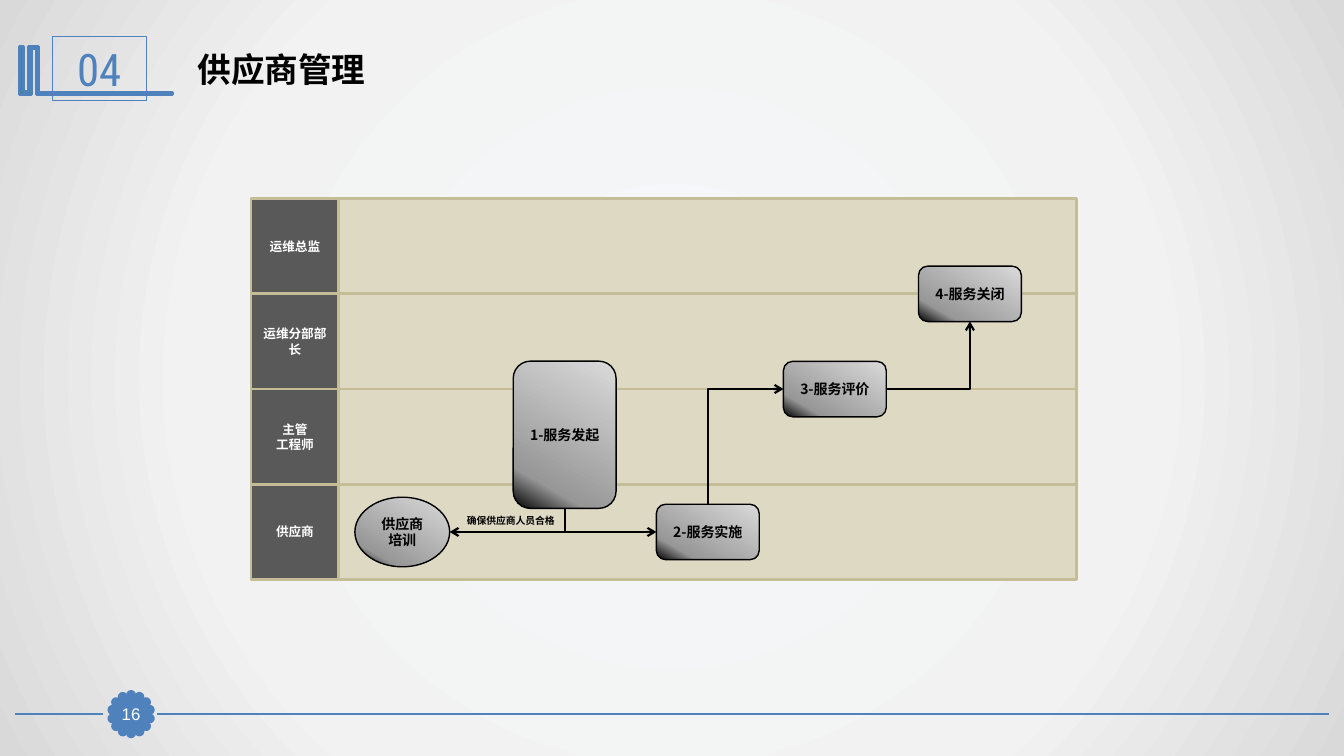
import math

from lxml import etree
from pptx import Presentation
from pptx import util as u
from pptx.dml.color import RGBColor
from pptx.enum import shapes, text
from pptx.oxml import parse_xml
from pptx.oxml.ns import nsdecls, qn

BLUE = RGBColor(0x4F, 0x81, 0xBD)
GREEN = RGBColor(0x33, 0x99, 0x33)
WHITE = RGBColor(0xFF, 0xFF, 0xFF)
BLACK = RGBColor(0, 0, 0)
SAND = RGBColor(0xDD, 0xD9, 0xC3)
SAND_EDGE = RGBColor(0xC4, 0xBD, 0x97)
GREY = RGBColor(0x59, 0x59, 0x59)

CJK = "Noto Sans CJK SC"
W, H = 13.33, 7.5
SHAPE = shapes.MSO_SHAPE

BACKDROP = [(0, "F6F9FC"), (63, "F2F2F2"), (100, "D9D9D9")]
STEEL = [(0, "DADADA"), (80, "979797"), (100, "000000")]
RADIAL = ('<a:path path="circle"><a:fillToRect l="50000" t="50000" '
          'r="50000" b="50000"/></a:path>')
SLANTED = '<a:lin ang="7200000" scaled="0"/>'


def set_gradient(fill, props, stops, shade):
    fill.solid()
    stops_xml = "".join(
        f'<a:gs pos="{pos * 1000}"><a:srgbClr val="{rgb}"/></a:gs>'
        for pos, rgb in stops)
    grad = parse_xml(f'<a:gradFill {nsdecls("a")} rotWithShape="1">'
                     f'<a:gsLst>{stops_xml}</a:gsLst>{shade}</a:gradFill>')
    props.replace(props.find(qn("a:solidFill")), grad)


def write(sp, words, size, color, font=CJK, bold=False, inset=None,
          align=text.PP_ALIGN.CENTER, anchor=text.MSO_ANCHOR.MIDDLE):
    tf = sp.text_frame
    tf.text = words
    tf.word_wrap = True
    tf.vertical_anchor = anchor
    if inset is not None:
        tf.margin_left = tf.margin_right = u.Inches(inset)
        tf.margin_top = tf.margin_bottom = u.Inches(inset)
    for p in tf.paragraphs:
        p.alignment = align
        for r in p.runs:
            r.font.size, r.font.bold, r.font.name = u.Pt(size), bold, font
            r.font.color.rgb = color
            ea = etree.SubElement(r.font._element, qn("a:ea"))
            ea.set("typeface", CJK)


def style(sp, fill, line, width):
    sp.shadow.inherit = False
    if fill is None:
        sp.fill.background()
    else:
        sp.fill.solid()
        sp.fill.fore_color.rgb = fill
    sp.line.color.rgb = line
    sp.line.width = u.Pt(width)


def add_box(s, kind, box, fill, line, width):
    sp = s.shapes.add_shape(kind, *map(u.Inches, box))
    style(sp, fill, line, width)
    return sp


def add_text(s, box, words, size, **options):
    sp = s.shapes.add_textbox(*map(u.Inches, box))
    write(sp, words, size, BLACK, bold=True, **options)


def add_line(s, start, end, color, width, kind=shapes.MSO_CONNECTOR.STRAIGHT):
    c = s.shapes.add_connector(kind, *map(u.Inches, (*start, *end)))
    c.line.color.rgb = color
    c.line.width = u.Pt(width)
    etree.SubElement(c._element.spPr, qn("a:effectLst"))
    return c


def add_arrow(s, start, end, vertical_first):
    """One-corner arrow; a vertical start is a quarter turn of the other."""
    (x1, y1), (x2, y2) = start, end
    if vertical_first:
        cx, cy, dx, dy = (x1 + x2) / 2, (y1 + y2) / 2, x2 - x1, y2 - y1
        start = cx - dy / 2, cy + dx / 2
        end = cx + dy / 2, cy - dx / 2
    c = add_line(s, start, end, BLACK, 1.5, shapes.MSO_CONNECTOR.ELBOW)
    props = c._element.spPr
    props.find(qn("a:prstGeom")).set("prst", "bentConnector2")
    if vertical_first:
        props.find(qn("a:xfrm")).set("rot", "5400000")
    etree.SubElement(props.find(qn("a:ln")), qn("a:tailEnd")).set("type", "arrow")


def side(box, name):
    x, y, w, h = box
    return {"top": (x + w / 2, y), "left": (x, y + h / 2),
            "bottom": (x + w / 2, y + h), "right": (x + w, y + h / 2)}[name]


# Footer: rule broken by a scalloped page badge
def add_footer(s, box, number):
    x, y, w, h = box
    cx, cy = x + 1.15, y + h / 2
    add_line(s, (x + w, cy), (cx + 0.26, cy), BLUE, 1.25)
    add_line(s, (cx - 0.28, cy), (x, cy), BLUE, 1.25)
    petals, radius, d = 14, 0.19, 0.07
    for i in range(petals):
        turn = 2 * math.pi * i / petals
        px, py = cx + radius * math.sin(turn), cy - radius * math.cos(turn)
        petal = add_box(s, SHAPE.OVAL, (px - d / 2, py - d / 2, d, d),
                        BLUE, BLUE, 2)
        petal.rotation = math.degrees(turn)
    badge = add_box(s, SHAPE.RECTANGLE, (cx - 0.16, cy - h / 2, 0.32, h),
                    BLUE, BLUE, 0.75)
    write(badge, number, 12, WHITE, font="Arial", inset=0)


# Header: bracket ornament, section number and title
def add_header(s, box, number, title):
    x, y, w, h = box
    # Ornament corners in hundredths of an inch from the header's corner
    corners = [(18, 10), (19, 10), (19, 56), (152, 56), (152, 58), (17, 58),
               (17, 12), (12, 12), (12, 58), (0, 58), (0, 10), (4, 10),
               (4, 55), (9, 55), (9, 10)]
    points = [(100 * x + px, 100 * y + py) for px, py in corners]
    outline = s.shapes.build_freeform(*points[0], scale=u.Inches(0.01))
    outline.add_line_segments(points[1:], close=True)
    style(outline.convert_to_shape(), GREEN, BLUE, 2)
    frame = add_box(s, SHAPE.RECTANGLE, (x + 0.33, y, 0.93, h), None, BLUE, 0.75)
    write(frame, number, 32, BLUE, font="Roboto Condensed")
    add_text(s, (x + 1.67, y + 0.08, w - 1.67, 0.5), title, 24, font="Arial",
             align=text.PP_ALIGN.LEFT, anchor=text.MSO_ANCHOR.TOP)


# Swimlanes: one row for each role
def add_lanes(s, box, roles):
    x, y, w, h = box
    row = h / len(roles)
    for i, role in enumerate(roles):
        top = y + i * row
        add_box(s, SHAPE.RECTANGLE, (x + 0.05, top, w - 0.05, row),
                SAND, SAND_EDGE, 2)
        label = add_box(s, SHAPE.RECTANGLE, (x, top, 0.87, row),
                        GREY, SAND_EDGE, 2)
        write(label, role, 9, WHITE, bold=True)


# Process flow: centres are inches across and lanes down
def add_flow(s, box, lane_count):
    x, y, w, h = box
    row = h / lane_count
    step = SHAPE.FLOWCHART_ALTERNATE_PROCESS
    nodes = {
        "start": (step, "1-服务发起", 3.11, 2.48, 1.02, 1.46, 0),
        "deliver": (step, "2-服务实施", 4.53, 3.5, 1.02, 0.55, 0),
        "review": (step, "3-服务评价", 5.79, 2, 1.02, 0.55, 0),
        "close": (step, "4-服务关闭", 7.13, 1, 1.02, 0.55, 0),
        "training": (SHAPE.OVAL, "供应商培训", 1.5, 3.5, 0.94, 0.69, None),
    }
    boxes = {}
    for name, (kind, words, across, down, nw, nh, inset) in nodes.items():
        boxes[name] = (x + across - nw / 2, y + down * row - nh / 2, nw, nh)
        sp = add_box(s, kind, boxes[name], SAND, BLACK, 1)
        set_gradient(sp.fill, sp._element.spPr, STEEL, SLANTED)
        write(sp, words, 10, BLACK, bold=True, inset=inset)
    for origin, leave, target, arrive in [
            ("start", "bottom", "deliver", "left"),
            ("review", "right", "close", "bottom"),
            ("deliver", "top", "review", "left"),
            ("start", "bottom", "training", "right")]:
        add_arrow(s, side(boxes[origin], leave), side(boxes[target], arrive),
                  leave in ("top", "bottom"))
    add_text(s, (x + 2.03, y + 3.5 * row - 0.22, 1.09, 0.22),
             "确保供应商人员合格", 7, anchor=text.MSO_ANCHOR.TOP)


def main():
    prs = Presentation()
    prs.slide_width, prs.slide_height = u.Inches(W), u.Inches(H)
    s = prs.slides.add_slide(prs.slide_layouts[6])
    fill = s.background.fill
    fill.solid()
    set_gradient(fill, s._element.find(".//" + qn("p:bgPr")), BACKDROP, RADIAL)

    add_footer(s, (0.15, 6.93, W - 0.3, 0.31), "16")
    add_header(s, (0.19, 0.36, 11.36, 0.64), "04", "供应商管理")
    roles = ["运维总监", "运维分部部长", "主管\n工程师", "供应商"]
    chart_box = (2.49, 1.97, 8.19, 3.78)
    add_lanes(s, chart_box, roles)
    add_flow(s, chart_box, len(roles))
    prs.save("out.pptx")


if __name__ == "__main__":
    main()
